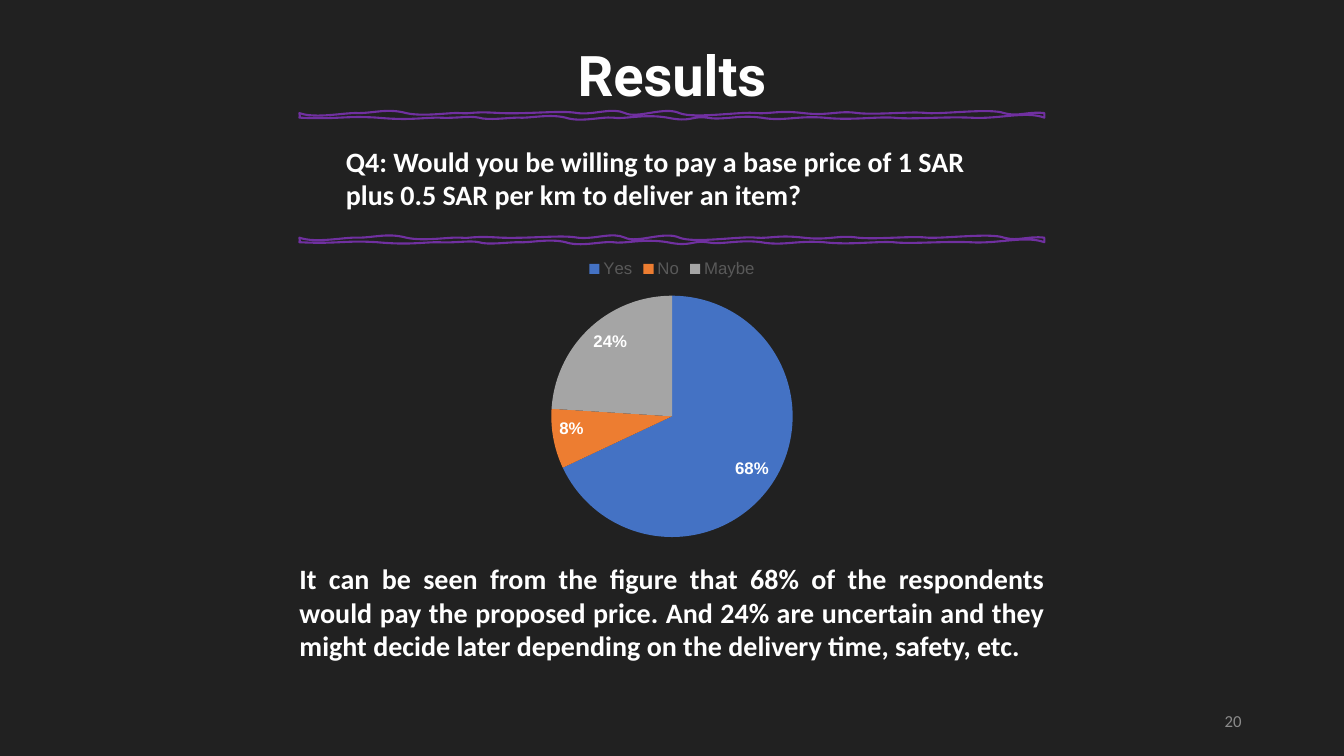
from dataclasses import dataclass
from typing import Optional

from lxml import etree
from pptx import Presentation
from pptx.chart.data import CategoryChartData
from pptx.dml.color import RGBColor
from pptx.enum.chart import XL_CHART_TYPE, XL_LABEL_POSITION, XL_LEGEND_POSITION
from pptx.enum.text import MSO_ANCHOR, MSO_AUTO_SIZE, PP_ALIGN
from pptx.oxml.ns import qn
from pptx.util import Inches, Pt

PIE = XL_CHART_TYPE.PIE
INSIDE = XL_LABEL_POSITION.INSIDE_END
ABOVE = XL_LEGEND_POSITION.TOP
TOP, MIDDLE, BOTTOM = MSO_ANCHOR.TOP, MSO_ANCHOR.MIDDLE, MSO_ANCHOR.BOTTOM
LEFT, CENTER, RIGHT = PP_ALIGN.LEFT, PP_ALIGN.CENTER, PP_ALIGN.RIGHT
JUSTIFY = PP_ALIGN.JUSTIFY
FIXED = MSO_AUTO_SIZE.NONE

# The slide is a grid of 160 columns by 90 rows
CELL = 13.333 / 160
WHITE = "FFFFFF"


@dataclass
class Box:
    col: float
    row: float
    cols: float
    rows: float


@dataclass
class Label:
    text: str
    box: Box
    size: float
    font: str = "Calibri"
    color: str = WHITE
    bold: bool = True
    align: PP_ALIGN = LEFT
    anchor: MSO_ANCHOR = TOP
    lead: Optional[float] = None


@dataclass
class Slice:
    name: str
    value: int
    color: str


TITLE = Label("Results", Box(39, 3.1, 82, 10.4), 40, "Roboto",
              align=CENTER, anchor=BOTTOM, lead=0.9)
ANSWER = Label("It can be seen from the figure that 68% of the respondents would pay "
               "the proposed price. And 24% are uncertain and they might decide later "
               "depending on the delivery time, safety, etc.",
               Box(34.45, 66.25, 91.1, 11.9), 20, align=JUSTIFY)
QUERY = Label("Q4: Would you be willing to pay a base price of 1 SAR plus 0.5 SAR "
              "per km to deliver an item?",
              Box(40, 16.56, 80, 9.25), 20, anchor=MIDDLE)
NUMBER = Label("20", Box(113, 83.4, 36, 4.8), 12, color="8B8B8B", bold=False,
               align=RIGHT, anchor=MIDDLE)
SLICES = [Slice("Yes", 68, "4472C4"), Slice("No", 8, "ED7D31"),
          Slice("Maybe", 24, "A5A5A5")]
PIE_BOX = Box(50, 29.6, 60, 36)

# Wavy rule in hundredths of an inch: two bends (x, rise) and the end x of each curve
RULE_LEFT, RULE_ROWS, THICK = 297, (13.47, 28.3), 4.5
LOWER = [(38, 2, 44, -2, 77), (109, 3, 121, 0, 138), (156, 1, 168, -2, 178),
         (187, 3, 207, 0, 217), (227, 1, 248, -4, 264), (279, 5, 299, -1, 311),
         (322, 2, 341, -4, 365), (389, 5, 389, -2, 404), (419, 3, 436, -3, 458),
         (480, 4, 493, -2, 520), (546, 3, 571, -1, 589), (606, 2, 637, -1, 665),
         (693, 2, 720, -7, 739)]
UPPER = [(739, 3, 739, 1, 739),
         (723, -2, 713, 4, 699), (686, -5, 640, 1, 623), (607, -2, 574, 2, 554),
         (535, -3, 525, 3, 500), (475, -3, 467, 1, 453), (440, -2, 392, 6, 377),
         (362, -7, 335, 6, 323), (310, -6, 293, 2, 276), (260, -3, 230, 1, 200),
         (170, -2, 171, 1, 160), (150, -1, 124, 4, 106), (88, -5, 73, 0, 59),
         (46, -1, 17, 6, 0)]
EDGE = [(0, -2, 1, -1, 0)]
CURVES = [(THICK, curve) for curve in LOWER]
CURVES += [(0, curve) for curve in UPPER]
CURVES += [(THICK, curve) for curve in EDGE]


def grid(cells: float) -> int:
    return Inches(cells * CELL)


def paint(value: str) -> RGBColor:
    return RGBColor.from_string(value)


def style(font, size: float, color: str, name: str, bold: bool = False) -> None:
    font.size, font.name, font.bold = Pt(size), name, bold
    font.color.rgb = paint(color)


def place(shape, box: Box) -> None:
    shape.left, shape.top = grid(box.col), grid(box.row)
    shape.width, shape.height = grid(box.cols), grid(box.rows)


def write(shape, label: Label) -> None:
    place(shape, label.box)
    frame = shape.text_frame
    frame.word_wrap, frame.auto_size = True, FIXED
    frame.vertical_anchor = label.anchor
    frame.text = label.text
    para = frame.paragraphs[0]
    para.alignment, para.line_spacing = label.align, label.lead
    para.space_before = Pt(0)
    style(para.runs[0].font, label.size, label.color, label.font, label.bold)


def plain(shape) -> None:
    props = shape.text_frame.paragraphs[0]._p.get_or_add_pPr()
    props.set("marL", "0")
    props.set("indent", "0")
    etree.SubElement(props, qn("a:buNone"))


def draw_rule(slide, row: float) -> None:
    left, top = Inches(RULE_LEFT / 100), grid(row)
    ends = [(left + Inches(curve[4] / 100), top + Inches(base / 100))
            for base, curve in CURVES]
    pen = slide.shapes.build_freeform(*ends[-1])
    pen.add_line_segments(ends, close=True)
    rule = pen.convert_to_shape()
    # Bend each straight segment
    lines = list(rule._element.iter(qn("a:lnTo")))
    for line, (base, (x1, y1, x2, y2, _)) in zip(lines, CURVES):
        line.tag = qn("a:cubicBezTo")
        for spot, (x, y) in enumerate(((x1, y1), (x2, y2))):
            bend = etree.Element(qn("a:pt"), x=str(Inches(x / 100)),
                                 y=str(Inches((base + y) / 100)))
            line.insert(spot, bend)
    rule.shadow.inherit = False
    rule.fill.background()
    rule.line.color.rgb = paint("7030A0")
    rule.line.width = Pt(1.5)


def draw_pie(slide, box: Box) -> None:
    data = CategoryChartData()
    data.categories = [part.name for part in SLICES]
    data.add_series("Series 1", [part.value for part in SLICES])
    frame = slide.shapes.add_chart(PIE, grid(box.col), grid(box.row),
                                   grid(box.cols), grid(box.rows), data)
    chart = frame.chart
    chart.has_title = False
    style(chart.font, 10, "000000", "Arial")
    chart.has_legend = True
    chart.legend.position = ABOVE
    chart.legend.include_in_layout = False
    style(chart.legend.font, 12, "595959", "Arial")
    plot = chart.plots[0]
    plot.vary_by_categories = True
    for index, part in enumerate(SLICES):
        fill = plot.series[0].points[index].format.fill
        fill.solid()
        fill.fore_color.rgb = paint(part.color)
    marks = plot.series[0].data_labels
    marks.show_percentage, marks.show_value = True, False
    marks.number_format, marks.number_format_is_linked = "0%", False
    marks.position = INSIDE
    style(marks.font, 12, WHITE, "Arial", True)


def main() -> None:
    deck = Presentation()
    deck.slide_width, deck.slide_height = grid(160), grid(90)
    slide = deck.slides.add_slide(deck.slide_layouts[1])
    back = slide.background.fill
    back.solid()
    back.fore_color.rgb = paint("212121")

    # Title and findings
    write(slide.shapes.title, TITLE)
    body = slide.placeholders[1]
    write(body, ANSWER)
    plain(body)

    # Question and page number
    for label in (QUERY, NUMBER):
        write(slide.shapes.add_textbox(0, 0, 0, 0), label)

    # Pie chart and wavy rules
    draw_pie(slide, PIE_BOX)
    for row in RULE_ROWS:
        draw_rule(slide, row)
    deck.save("out.pptx")


if __name__ == "__main__":
    main()
